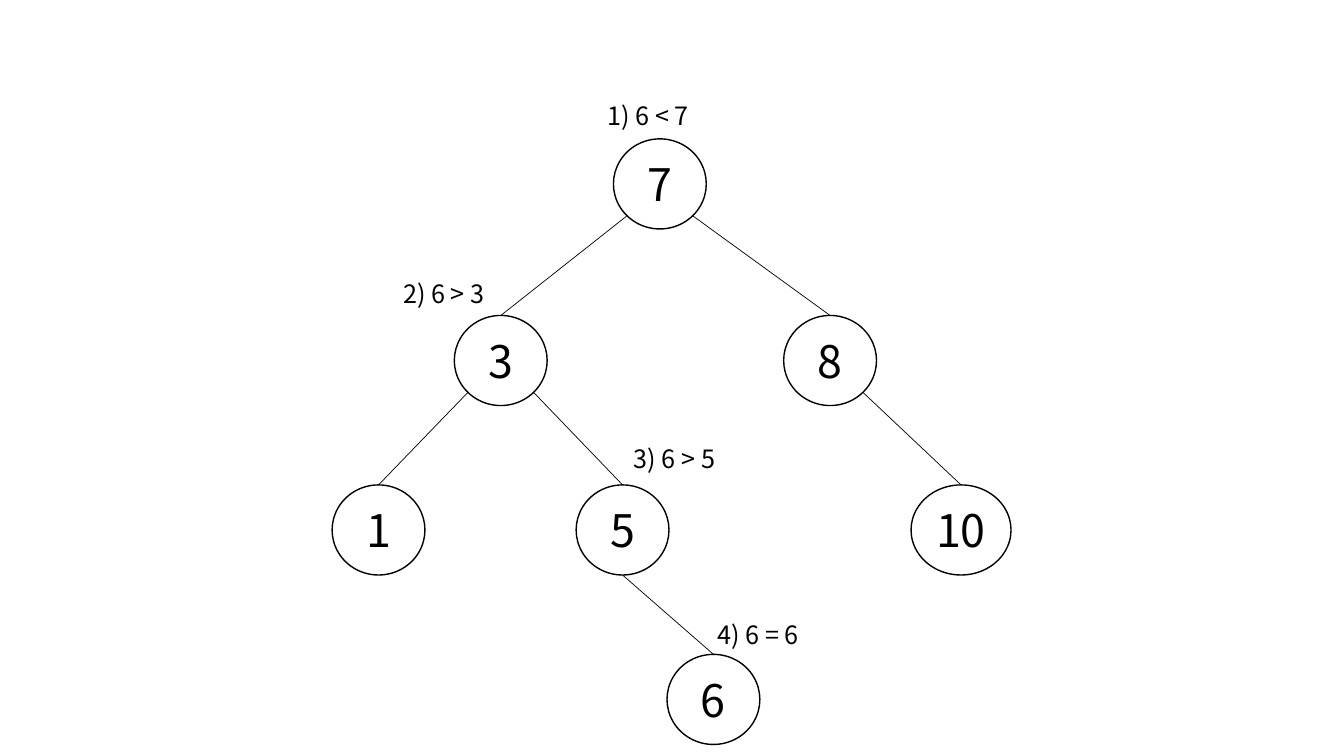
"""Draw the search for 6 in a binary search tree."""
import math
from dataclasses import dataclass

import lxml.etree
import pptx
import pptx.dml.color
import pptx.enum.shapes
import pptx.enum.text
import pptx.oxml.ns
import pptx.util
from pptx.shapes.autoshape import Shape
from pptx.shapes.connector import Connector
from pptx.slide import Slide
from pptx.text.text import TextFrame
from pptx.util import Cm

BLACK = pptx.dml.color.RGBColor(0x00, 0x00, 0x00)
FONT = "Noto Sans CJK KR"
NODE_HEIGHT = Cm(2.27)
LEVEL_TOPS = [Cm(3.5), Cm(7.95), Cm(12.22), Cm(16.49)]
TOP, BOTTOM_LEFT, BOTTOM, BOTTOM_RIGHT = 0, 3, 4, 5


@dataclass(frozen=True)
class Node:
    key: int
    center: Cm
    level: int
    width: Cm = Cm(2.34)


@dataclass(frozen=True)
class Branch:
    parent: int
    child: int
    site: int


@dataclass(frozen=True)
class Step:
    comparison: str
    left: Cm
    top: Cm


NODES = [
    Node(7, Cm(16.63), 0),
    Node(3, Cm(12.62), 1),
    Node(8, Cm(20.92), 1),
    Node(1, Cm(9.54), 2),
    Node(5, Cm(15.69), 2),
    Node(10, Cm(24.22), 2, Cm(2.52)),
    Node(6, Cm(17.98), 3),
]
BRANCHES = [
    Branch(7, 3, BOTTOM_LEFT),
    Branch(7, 8, BOTTOM_RIGHT),
    Branch(3, 1, BOTTOM_LEFT),
    Branch(3, 5, BOTTOM_RIGHT),
    Branch(8, 10, BOTTOM_RIGHT),
    Branch(5, 6, BOTTOM),
]
STEPS = [
    Step("1) 6 < 7", Cm(15.06), Cm(2.41)),
    Step("2) 6 > 3", Cm(9.91), Cm(6.88)),
    Step("3) 6 > 5", Cm(15.72), Cm(11.05)),
    Step("4) 6 = 6", Cm(17.83), Cm(15.47)),
]


def write(frame: TextFrame, text: str, size: int) -> None:
    """Put one formatted paragraph into a text frame."""
    frame.text = text
    frame.word_wrap = True
    font = frame.paragraphs[0].font
    font.name = FONT
    font.size = pptx.util.Pt(size)
    font.color.rgb = BLACK


def draw_node(slide: Slide, node: Node) -> Shape:
    """Draw a tree node as an outlined ellipse with its key."""
    ellipse = slide.shapes.add_shape(
        pptx.enum.shapes.MSO_SHAPE.OVAL,
        node.center - node.width // 2, LEVEL_TOPS[node.level], node.width, NODE_HEIGHT,
    )
    ellipse.shadow.inherit = False
    ellipse.fill.background()
    ellipse.line.color.rgb = BLACK
    ellipse.line.width = pptx.util.Pt(1)
    frame = ellipse.text_frame
    write(frame, str(node.key), 32)
    frame.margin_left = frame.margin_right = frame.margin_top = frame.margin_bottom = 0
    frame.vertical_anchor = pptx.enum.text.MSO_ANCHOR.MIDDLE
    frame.paragraphs[0].alignment = pptx.enum.text.PP_ALIGN.CENTER
    return ellipse


def draw_branch(slide: Slide, parent: Shape, child: Shape, site: int) -> Connector:
    """Glue a line from a site on the parent's ellipse to the top of the child."""
    angle = site * math.pi / 4
    start_x = round(parent.left + parent.width / 2 * (1 - math.sin(angle)))
    start_y = round(parent.top + parent.height / 2 * (1 - math.cos(angle)))
    line = slide.shapes.add_connector(
        pptx.enum.shapes.MSO_CONNECTOR.STRAIGHT, start_x, start_y, child.left, child.top
    )
    line.begin_connect(parent, TOP)
    line.end_connect(child, TOP)
    line.element.find(".//" + pptx.oxml.ns.qn("a:stCxn")).set("idx", str(site))
    line.begin_x, line.begin_y = start_x, start_y
    line.line.color.rgb = BLACK
    line.line.width = pptx.util.Pt(0.5)
    lxml.etree.SubElement(line.element.spPr, pptx.oxml.ns.qn("a:effectLst"))
    return line


def draw_step(slide: Slide, step: Step) -> Shape:
    """Write the comparison made at one node."""
    label = slide.shapes.add_textbox(step.left, step.top, Cm(3.18), Cm(1.02))
    write(label.text_frame, step.comparison, 18)
    return label


def main() -> None:
    """Build and save the slide."""
    deck = pptx.Presentation()
    deck.slide_width, deck.slide_height = Cm(33.87), Cm(19.05)
    slide = deck.slides.add_slide(deck.slide_layouts[6])
    ellipses = {node.key: draw_node(slide, node) for node in NODES}
    for branch in BRANCHES:
        draw_branch(slide, ellipses[branch.parent], ellipses[branch.child], branch.site)
    for step in STEPS:
        draw_step(slide, step)
    deck.save("out.pptx")


main()
